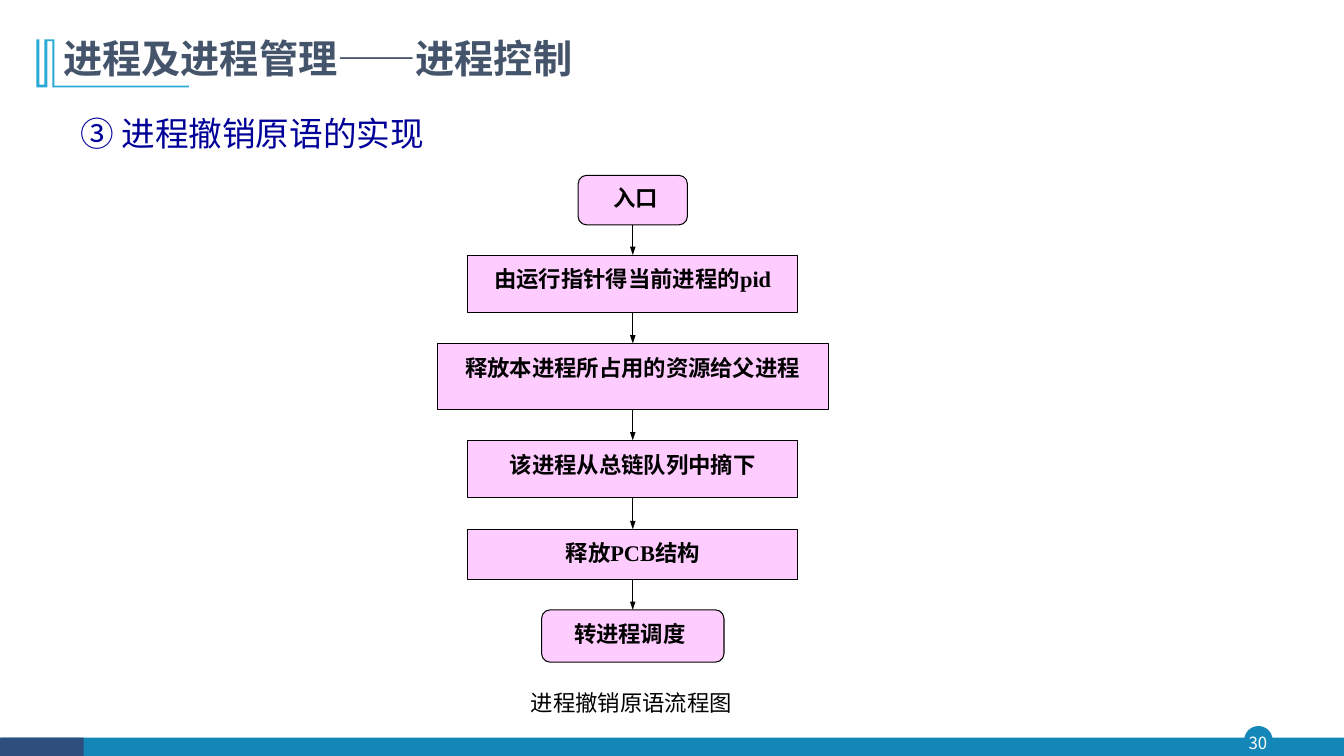
from lxml import etree
from pptx import Presentation
from pptx import util as u
from pptx.dml.color import RGBColor
from pptx.enum import shapes, text
from pptx.oxml import ns

WHITE = RGBColor(0xFF, 0xFF, 0xFF)
BLACK = RGBColor(0x00, 0x00, 0x00)
PINK = RGBColor(0xFF, 0xCC, 0xFF)
NAVY = RGBColor(0x00, 0x00, 0x99)
SLATE = RGBColor(0x44, 0x54, 0x6A)
TEAL = RGBColor(0x13, 0x87, 0xB7)
DARK_BLUE = RGBColor(0x2E, 0x4E, 0x7E)
SKY = RGBColor(0x28, 0xA9, 0xD6)

RECT = shapes.MSO_SHAPE.RECTANGLE
ROUNDED = shapes.MSO_SHAPE.ROUNDED_RECTANGLE
OVAL = shapes.MSO_SHAPE.OVAL
CENTER = text.PP_ALIGN.CENTER
SANS, SERIF = "Noto Sans CJK SC", "Times New Roman"


class Page:
    """Current slide together with its drawing style."""

    def __init__(self, slide):
        self.items = slide.shapes

    def paint(self, shape, fill, line=None, weight=0.75):
        shape.shadow.inherit = False
        shape.fill.solid()
        shape.fill.fore_color.rgb = fill
        if line is None:
            shape.line.fill.background()
        else:
            shape.line.color.rgb = line
            shape.line.width = u.Pt(weight)

    def shape(self, kind, left, top, width, height, fill, line=None, weight=0.75):
        box = self.items.add_shape(kind, *map(u.Pt, (left, top, width, height)))
        self.paint(box, fill, line, weight)
        return box

    def outline(self, points, fill):
        corners = [(u.Pt(x), u.Pt(y)) for x, y in points]
        builder = self.items.build_freeform(*corners[0], scale=1.0)
        builder.add_line_segments(corners[1:], close=True)
        self.paint(builder.convert_to_shape(), fill)

    def set_words(self, box, words, size, color, font=SERIF, bold=False,
                  align=None, spacing=None):
        frame = box.text_frame
        frame.word_wrap = True
        frame.vertical_anchor = text.MSO_ANCHOR.TOP
        frame.text = words
        para = frame.paragraphs[0]
        para.alignment = align
        para.line_spacing = spacing
        for span in para.runs:
            span.font.size = u.Pt(size)
            span.font.name = font
            span.font.bold = bold
            span.font.color.rgb = color
            latin = span.font._element.find(ns.qn("a:latin"))
            east_asian = etree.Element(ns.qn("a:ea"), typeface=SANS)
            latin.addnext(east_asian)
        return frame

    def label(self, left, top, width, height, words, size, color, **style):
        box = self.items.add_textbox(*map(u.Pt, (left, top, width, height)))
        return self.set_words(box, words, size, color, **style)

    def arrow(self, upper, lower):
        link = self.items.add_connector(shapes.MSO_CONNECTOR.STRAIGHT, 0, 0, 0, 0)
        link.begin_connect(upper, 2)
        link.end_connect(lower, 0)
        link.line.color.rgb = BLACK
        link.line.width = u.Pt(0.75)
        etree.SubElement(link.line._get_or_add_ln(), ns.qn("a:tailEnd"),
                         type="triangle", w="sm", len="med")
        etree.SubElement(link._element.spPr, ns.qn("a:effectLst"))


def main():
    deck = Presentation()
    deck.slide_width, deck.slide_height = u.Pt(960), u.Pt(540)
    page = Page(deck.slides.add_slide(deck.slide_layouts[6]))

    # Footer with page number
    page.shape(OVAL, 889.2, 519.1, 19.4, 19.4, TEAL, TEAL, 1)
    page.shape(RECT, 0.7, 527, 959.3, 13.5, TEAL)
    page.shape(RECT, 0, 527, 59.8, 13.5, DARK_BLUE)
    number = page.label(887, 519.1, 23, 22.3, "30", 12, WHITE, font=SANS, align=CENTER)
    number.vertical_anchor = text.MSO_ANCHOR.MIDDLE
    number.margin_left = number.margin_right = 0
    number.margin_top = number.margin_bottom = 0

    # Title ornament and headings
    page.outline([(38.9, 28.1), (38.9, 61.2), (134.9, 61.2), (134.9, 62.4),
                  (37.4, 62.4), (37.4, 29.5), (33.8, 29.5), (33.8, 62.4),
                  (25.9, 62.4), (25.9, 28.1), (28.1, 28.1), (28.1, 60.5),
                  (31.7, 60.5), (31.7, 28.1)], SKY)
    page.label(38.2, 24.5, 755.3, 40.3, "进程及进程管理——进程控制", 28, SLATE,
               font=SANS, bold=True, spacing=0.9)
    heading = page.label(50.4, 71.3, 305.3, 41.8, "③ 进程撤销原语的实现", 24, NAVY,
                         spacing=1.2)
    indent = heading.paragraphs[0]._p.get_or_add_pPr()
    indent.set("marL", str(u.Pt(42)))
    indent.set("indent", str(u.Pt(-42)))

    # Flowchart boxes, all centred on one axis
    axis = 452
    bold_label = dict(size=16, color=BLACK, bold=True, align=CENTER)
    steps = [
        (ROUNDED, 125.3, 78, 35.3, None),
        (RECT, 182.2, 235.4, 41.2, "由运行指针得当前进程的pid"),
        (RECT, 245.4, 279.4, 46.8, "释放本进程所占用的资源给父进程"),
        (RECT, 314.6, 235.4, 41, "该进程从总链队列中摘下"),
        (RECT, 378, 235.4, 36, "释放PCB结构"),
        (ROUNDED, 435.6, 130.3, 37.4, None),
    ]
    boxes = []
    for kind, top, width, height, words in steps:
        box = page.shape(kind, axis - width / 2, top, width, height, PINK, BLACK)
        if words:
            page.set_words(box, words, spacing=1.2, **bold_label)
        boxes.append(box)

    # Labels of the entry and exit boxes
    page.label(419, 128.2, 70.6, 26.6, "入口", **bold_label)
    page.label(386.6, 435.6, 126.7, 47.5, "转进程调度", spacing=1.2, **bold_label)

    # Arrows between neighbours
    for upper, lower in zip(boxes, boxes[1:]):
        page.arrow(upper, lower)

    # Caption
    page.label(372.2, 484.6, 165.6, 30.2, "进程撤销原语流程图", 16, BLACK,
               align=text.PP_ALIGN.JUSTIFY, spacing=1.2)

    deck.save("out.pptx")


if __name__ == "__main__":
    main()
